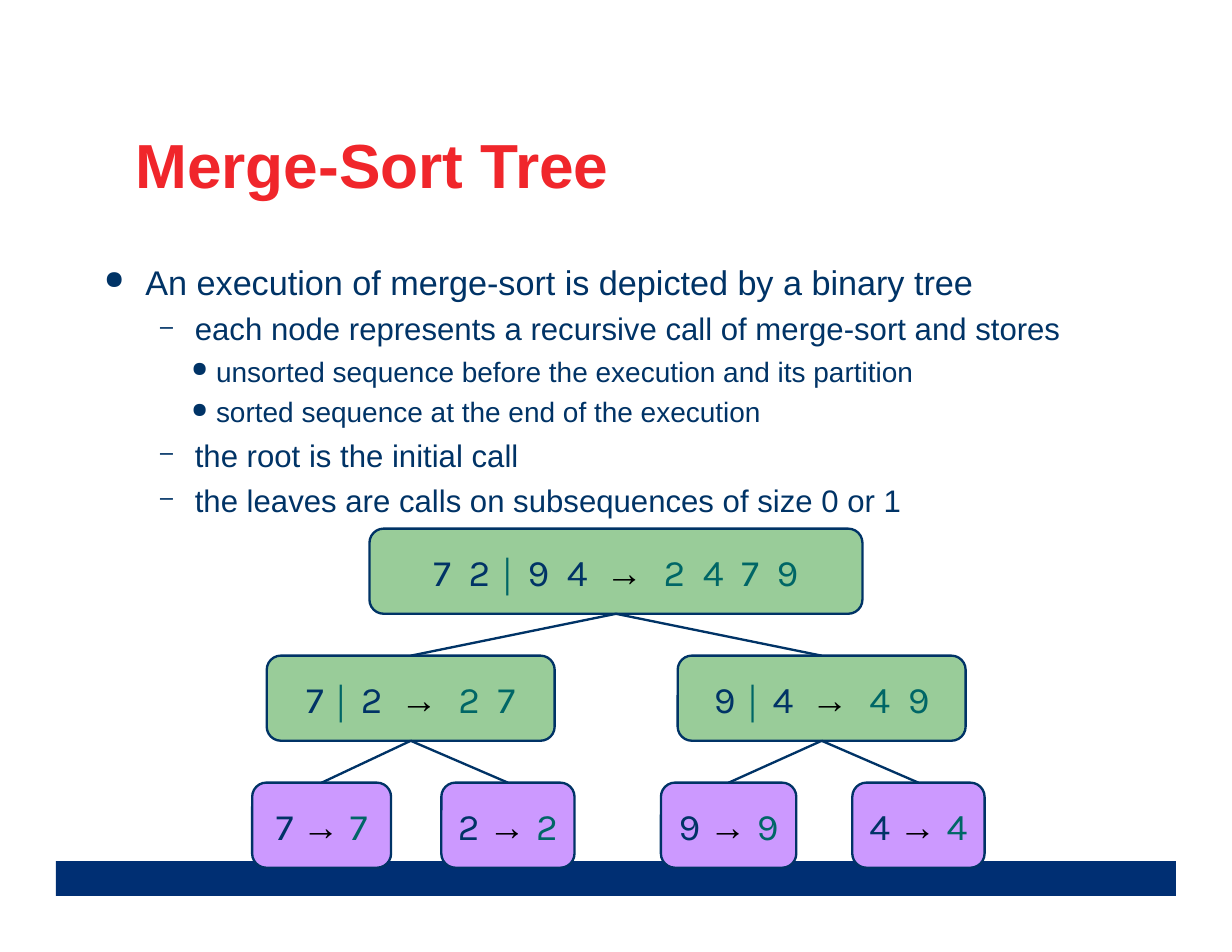
from dataclasses import dataclass
from typing import Optional

from lxml import etree
from pptx import Presentation
from pptx import util as u
from pptx.dml.color import RGBColor
from pptx.enum import shapes, text
from pptx.oxml.ns import qn

NAVY, TEAL, GREEN, LILAC = "003366", "006666", "99CC99", "CC99FF"
ROW_TOP, ROW_STEP, NODE_HEIGHT = 11.99, 2.88, 1.93


@dataclass
class Bullet:
    level: int
    wording: str


@dataclass
class BulletStyle:
    char: str
    margin: float
    hanging: float
    size: float
    before: float


@dataclass
class Node:
    row: int
    left: float
    width: float
    halves: tuple
    merged: str
    parent: Optional[int] = None


BULLET_STYLES = [
    BulletStyle("●", 0.94, 0.94, 22, 5.6),
    BulletStyle("–", 2.06, 0.79, 20, 5),
    BulletStyle("●", 2.54, 0.56, 18, 4.5),
]

BULLETS = [
    Bullet(0, "An execution of merge-sort is depicted by a binary tree"),
    Bullet(1, "each node represents a recursive call of merge-sort and stores"),
    Bullet(2, "unsorted sequence before the execution and its partition"),
    Bullet(2, "sorted sequence at the end of the execution"),
    Bullet(1, "the root is the initial call"),
    Bullet(1, "the leaves are calls on subsequences of size 0 or 1"),
]

# Each node names its parent by position in this list
NODES = [
    Node(0, 8.38, 11.18, ("7  2", "9  4"), "2  4  7  9"),
    Node(1, 6.05, 6.53, ("7", "2"), "2  7", 0),
    Node(1, 15.37, 6.53, ("9", "4"), "4  9", 0),
    Node(2, 5.72, 3.15, ("7",), "7", 1),
    Node(2, 10.01, 3.02, ("2",), "2", 1),
    Node(2, 14.99, 3.07, ("9",), "9", 2),
    Node(2, 19.33, 3.0, ("4",), "4", 2),
]


def color(value: str) -> RGBColor:
    return RGBColor.from_string(value)


def add_text(paragraph, wording: str, *, size: float, ink: str,
             font: str = "Arial", bold: bool = False) -> None:
    run = paragraph.add_run()
    run.text = wording
    run.font.size = u.Pt(size)
    run.font.name = font
    run.font.bold = bold
    run.font.color.rgb = color(ink)


def set_frame(frame, anchor, wrap: bool = True) -> None:
    frame.auto_size = text.MSO_AUTO_SIZE.NONE
    frame.word_wrap = wrap
    frame.vertical_anchor = anchor
    frame.margin_left = frame.margin_right = u.Cm(0.28)
    frame.margin_top = frame.margin_bottom = u.Cm(0.15)


def add_bullet(paragraph, bullet: Bullet, first: bool) -> None:
    style = BULLET_STYLES[bullet.level]
    props = paragraph._p.get_or_add_pPr()
    props.set("marL", str(u.Cm(style.margin)))
    props.set("indent", str(-u.Cm(style.hanging)))
    tint = etree.SubElement(props, qn("a:buClr"))
    etree.SubElement(tint, qn("a:srgbClr"), val=NAVY)
    etree.SubElement(props, qn("a:buSzPct"), val="75000")
    etree.SubElement(props, qn("a:buChar"), char=style.char)
    paragraph.level = bullet.level
    if not first:
        paragraph.space_before = u.Pt(style.before)
    add_text(paragraph, bullet.wording, size=style.size, ink=NAVY)


def add_node(slide, node: Node):
    leaf = len(node.halves) == 1
    box = slide.shapes.add_shape(
        shapes.MSO_SHAPE.ROUNDED_RECTANGLE, u.Cm(node.left),
        u.Cm(ROW_TOP + node.row * ROW_STEP), u.Cm(node.width), u.Cm(NODE_HEIGHT))
    box.shadow.inherit = False
    box.fill.solid()
    box.fill.fore_color.rgb = color(LILAC if leaf else GREEN)
    box.line.color.rgb = color(NAVY)
    box.line.width = u.Pt(1.5)
    set_frame(box.text_frame, text.MSO_ANCHOR.MIDDLE, wrap=False)

    sequence = box.text_frame.paragraphs[0]
    sequence.alignment = text.PP_ALIGN.CENTER
    add_text(sequence, node.halves[0] + " ", size=24, ink=NAVY, font="Karla")
    if not leaf:
        add_text(sequence, "│", size=20, ink=TEAL, bold=True)
        add_text(sequence, f" {node.halves[1]}  ", size=24, ink=NAVY, font="Karla")
    add_text(sequence, "→ " if leaf else "→  ", size=24, ink="000000", bold=True)
    add_text(sequence, node.merged, size=24, ink=TEAL, font="Karla")
    return box


def add_branch(slide, parent, child) -> None:
    branch = slide.shapes.add_connector(shapes.MSO_CONNECTOR.STRAIGHT, 0, 0, 0, 0)
    branch.begin_connect(parent, 2)
    branch.end_connect(child, 0)
    branch.line.color.rgb = color(NAVY)
    branch.line.width = u.Pt(1.5)
    etree.SubElement(branch._element.spPr, qn("a:effectLst"))


def main() -> None:
    deck = Presentation()
    deck.slide_width, deck.slide_height = u.Cm(27.94), u.Cm(21.59)
    slide = deck.slides.add_slide(deck.slide_layouts[5])

    # Footer bar
    bar = slide.shapes.add_shape(shapes.MSO_SHAPE.RECTANGLE, u.Cm(1.27),
                                 u.Cm(19.53), u.Cm(25.4), u.Cm(0.79))
    bar.shadow.inherit = False
    bar.fill.solid()
    bar.fill.fore_color.rgb = color("002F73")
    bar.line.fill.background()

    # Title
    title = slide.shapes.title
    title.left, title.top = u.Cm(2.79), u.Cm(2.87)
    title.width, title.height = u.Cm(24.43), u.Cm(1.85)
    set_frame(title.text_frame, text.MSO_ANCHOR.BOTTOM)
    heading = title.text_frame.paragraphs[0]
    heading.alignment = text.PP_ALIGN.LEFT
    heading.line_spacing = 0.9
    add_text(heading, "Merge-Sort Tree", size=40, ink="F0262B", bold=True)

    # Explanation
    outline = slide.shapes.add_textbox(u.Cm(2.08), u.Cm(5.77),
                                       u.Cm(24.43), u.Cm(6.22)).text_frame
    set_frame(outline, text.MSO_ANCHOR.TOP)
    for index, bullet in enumerate(BULLETS):
        paragraph = outline.add_paragraph() if index else outline.paragraphs[0]
        add_bullet(paragraph, bullet, first=index == 0)

    # Merge-sort tree
    boxes = [add_node(slide, node) for node in NODES]
    for node, box in zip(NODES, boxes):
        if node.parent is not None:
            add_branch(slide, boxes[node.parent], box)

    deck.save("out.pptx")


if __name__ == "__main__":
    main()
